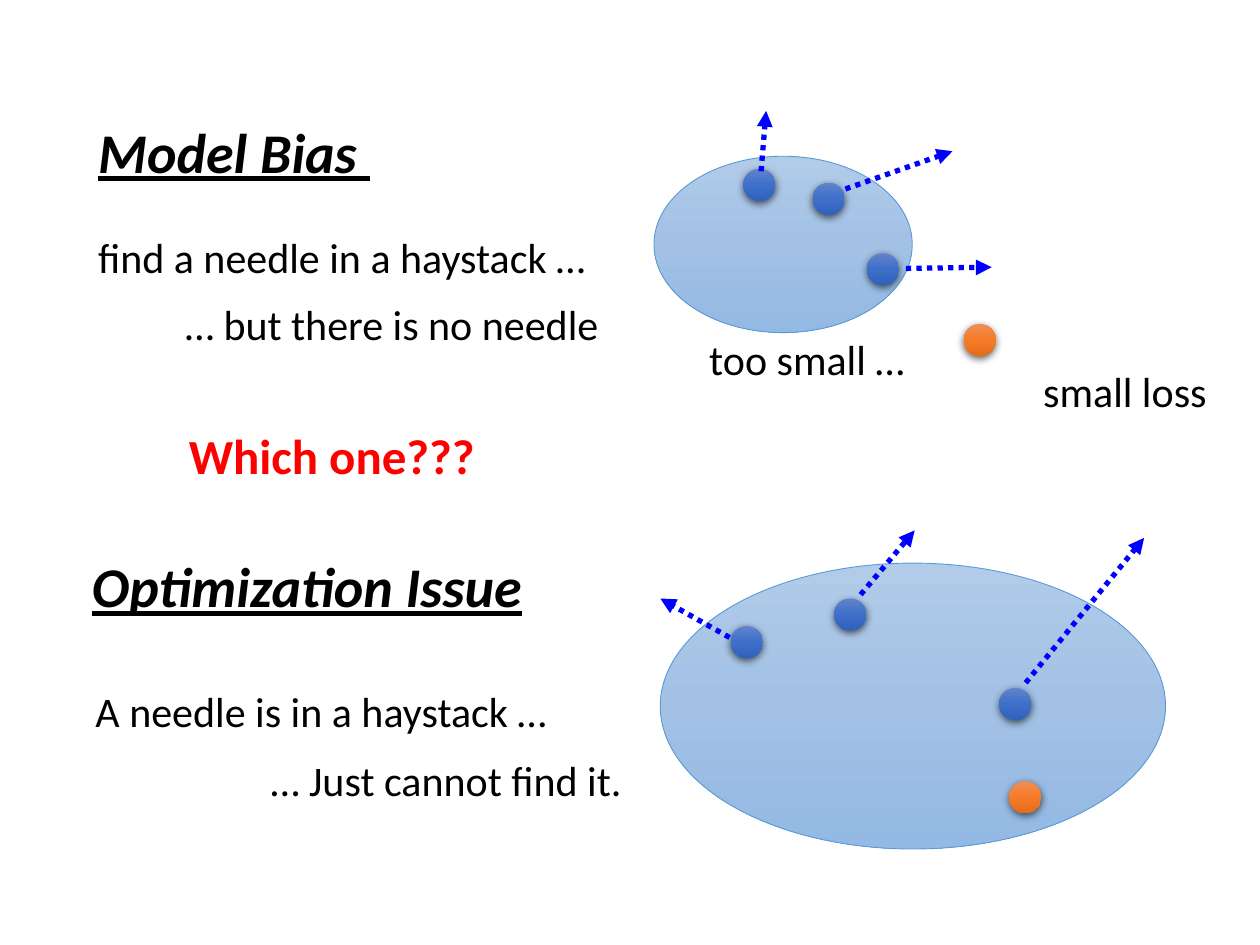
from copy import deepcopy
from lxml.etree import SubElement
from pptx import Presentation
from pptx.dml.color import RGBColor
from pptx.enum.dml import MSO_LINE
from pptx.enum.shapes import MSO_CONNECTOR, MSO_SHAPE
from pptx.enum.text import MSO_AUTO_SIZE
from pptx.oxml.ns import qn
from pptx.util import Pt

BLACK = RGBColor(0, 0, 0)
RED = RGBColor(0xFF, 0, 0)
ARROW = RGBColor(0, 0, 0xFF)
EDGE = RGBColor(0x5B, 0x9B, 0xD5)
HAY = [RGBColor(0xB1, 0xCB, 0xE9), RGBColor(0xA3, 0xC1, 0xE5), RGBColor(0x93, 0xB9, 0xE4)]
BLUE = [RGBColor(0x61, 0x83, 0xCB), RGBColor(0x3E, 0x70, 0xCA), RGBColor(0x30, 0x62, 0xBB)]
ORANGE = [RGBColor(0xF1, 0x8C, 0x57), RGBColor(0xF6, 0x7B, 0x28), RGBColor(0xE5, 0x6C, 0x19)]
FONT = "Calibri"
DOT = 18.3


def add_oval(slide, box, shades):
    """Add an ellipse shaded from top to bottom through three colours."""
    oval = slide.shapes.add_shape(MSO_SHAPE.OVAL, *map(Pt, box))
    oval.shadow.inherit = False
    fill = oval.fill
    fill.gradient()
    fill.gradient_angle = 270
    first = oval._element.spPr.find(".//" + qn("a:gs"))
    first.addnext(deepcopy(first))
    for stop, place, shade in zip(fill.gradient_stops, (0, 0.5, 1), shades):
        stop.position = place
        stop.color.rgb = shade
    return oval


def add_dot(slide, x, y, shades):
    dot = add_oval(slide, (x, y, DOT, DOT), shades)
    dot.line.fill.background()
    effects = dot._element.spPr.find(qn("a:effectLst"))
    shadow = SubElement(effects, qn("a:outerShdw"), blurRad=str(Pt(4.5)),
                        dist=str(Pt(1.5)), dir="5400000", algn="ctr", rotWithShape="0")
    tint = SubElement(shadow, qn("a:srgbClr"), val="000000")
    SubElement(tint, qn("a:alpha"), val="63000")


def add_arrow(slide, x1, y1, x2, y2):
    arrow = slide.shapes.add_connector(MSO_CONNECTOR.STRAIGHT, *map(Pt, (x1, y1, x2, y2)))
    line = arrow.line
    line.color.rgb = ARROW
    line.width = Pt(3)
    line.dash_style = MSO_LINE.ROUND_DOT
    SubElement(line._get_or_add_ln(), qn("a:tailEnd"), type="triangle")
    SubElement(arrow._element.spPr, qn("a:effectLst"))


def add_stack(slide, box, needle, dots, arrows):
    """Draw a haystack; needle, dots and arrows are offsets from its corner."""
    left, top = box[:2]
    stack = add_oval(slide, box, HAY)
    stack.line.color.rgb = EDGE
    stack.line.width = Pt(0.5)
    add_dot(slide, left + needle[0], top + needle[1], ORANGE)
    for x, y in dots:
        add_dot(slide, left + x, top + y, BLUE)
    for x1, y1, x2, y2 in arrows:
        add_arrow(slide, left + x1, top + y1, left + x2, top + y2)


def add_text(slide, box, words, size=24, color=BLACK, bold=False, title=False):
    label = slide.shapes.add_textbox(*map(Pt, box))
    frame = label.text_frame
    frame.word_wrap = True
    frame.auto_size = MSO_AUTO_SIZE.SHAPE_TO_FIT_TEXT
    run = frame.paragraphs[0].add_run()
    run.text = words
    font = run.font
    font.name = FONT
    font.size = Pt(size)
    font.color.rgb = color
    font.bold = bold or title
    if title:
        font.italic = font.underline = True


def add_case(slide, left, top, title, lines):
    """Write a title and, at offsets from it, lines of (x, y, width, words)."""
    add_text(slide, (left, top, 275, 46), title, size=32, title=True)
    for x, y, width, words in lines:
        add_text(slide, (left + x, top + y, width, 36), words)


def main():
    deck = Presentation()
    deck.slide_width, deck.slide_height = Pt(720), Pt(540)
    slide = deck.slides.add_slide(deck.slide_layouts[6])

    add_stack(slide, (377.3, 321.8, 288.7, 163.4), (199.4, 124.6),
              [(99.4, 20.2), (40.3, 36), (193.7, 71.3)],
              [(208.8, 68.4, 276.5, -14.4), (114.5, 18, 145.4, -18.7),
               (39.6, 42.5, 0, 20.2)])
    add_stack(slide, (373.7, 89.3, 147.6, 100.8), (177.1, 95.8),
              [(90.7, 15.1), (51.1, 7.2), (121.7, 55.4)],
              [(144, 64.1, 193, 63.4), (109.4, 18.7, 170.6, -2.9),
               (61.2, 8.6, 64.1, -25.9)])

    add_case(slide, 49, 63.4, "Model Bias ",
             [(0, 65.5, 360, "find a needle in a haystack …"),
              (49.7, 103.7, 283, "… but there is no needle")])
    add_case(slide, 45.4, 311.8, "Optimization Issue",
             [(2.1, 76.3, 360, "A needle is in a haystack …"),
              (102.2, 115.9, 225.4, "… Just cannot find it.")])
    add_text(slide, (398.2, 187.2, 146.2, 36), "too small …")
    add_text(slide, (589, 205.2, 128.9, 36), "small loss")
    add_text(slide, (100.8, 239.8, 251.3, 41), "Which one???", size=28, color=RED, bold=True)

    deck.save("out.pptx")


if __name__ == "__main__":
    main()
